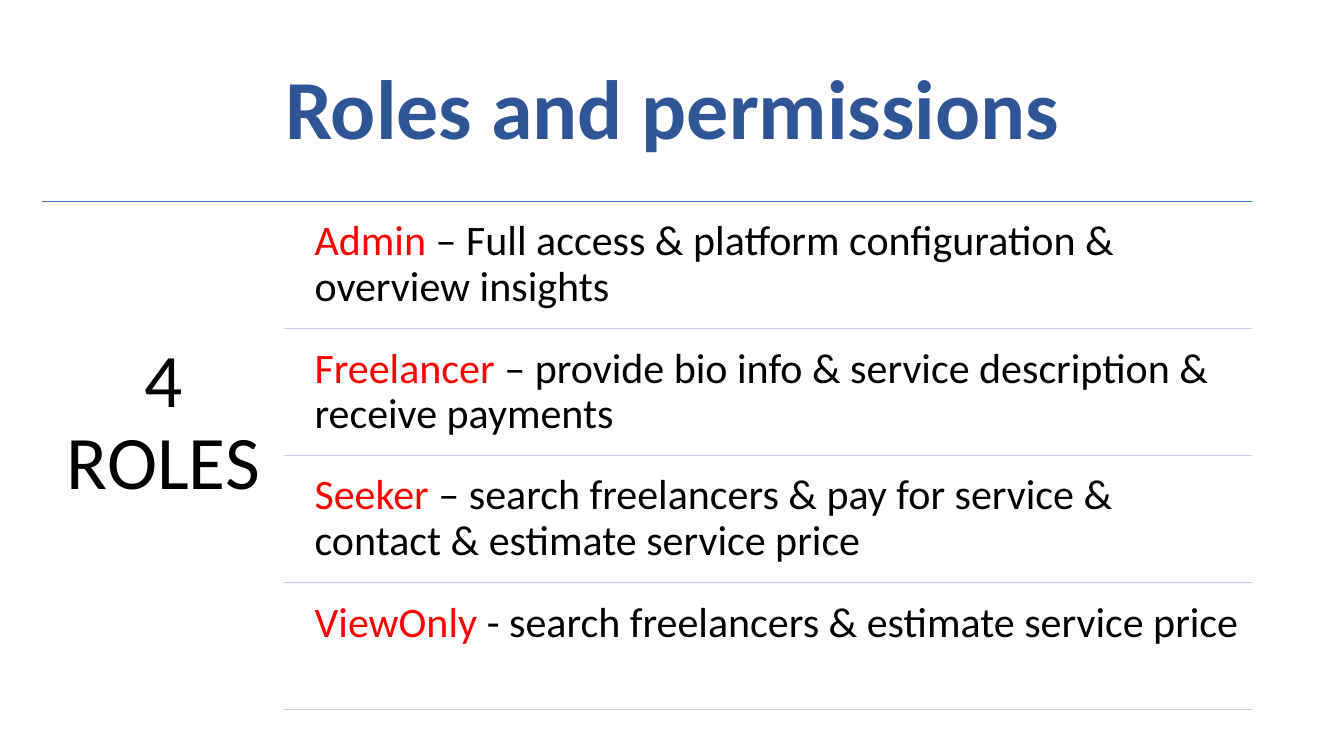
import pptx
import pptx.util
import pptx.dml.color
import pptx.enum.shapes
import pptx.enum.text
import pptx.oxml

HEADING = "Roles and permissions"
SUMMARY = "4 ROLES"
ROLES = [
    ("Admin", " – Full access & platform configuration & overview insights"),
    ("Freelancer", " – provide bio info & service description & receive payments"),
    ("Seeker", " – search freelancers & pay for service & contact & estimate service price"),
    ("ViewOnly", " - search freelancers & estimate service price"),
]

NAVY = pptx.dml.color.RGBColor(0x2F, 0x55, 0x97)
BLUE = pptx.dml.color.RGBColor(0x44, 0x72, 0xC4)
PALE_BLUE = pptx.dml.color.RGBColor(0xC1, 0xC9, 0xE4)
RED = pptx.dml.color.RGBColor(0xFF, 0, 0)
BLACK = pptx.dml.color.RGBColor(0, 0, 0)

LEFT, RIGHT, TOP = 0.42, 12.42, 2
SUMMARY_WIDTH = (RIGHT - LEFT) / 5
RULE_LEFT = LEFT + SUMMARY_WIDTH
ROLE_LEFT = RULE_LEFT + 0.18
ROLE_HEIGHT, GAP = 1.2, 0.06
ROW_PITCH = ROLE_HEIGHT + GAP

inch = pptx.util.Inches
deck = pptx.Presentation()
deck.slide_width, deck.slide_height = inch(13.33), inch(7.5)
slide = deck.slides.add_slide(deck.slide_layouts[5])


def style(run, size, color, bold=False):
    run.font.name = "Calibri"
    run.font.size = pptx.util.Pt(size)
    run.font.color.rgb = color
    run.font.bold = bold


def add_rule(left, y, color):
    rule = slide.shapes.add_connector(
        pptx.enum.shapes.MSO_CONNECTOR.STRAIGHT,
        inch(left), inch(y), inch(RIGHT), inch(y))
    rule.line.color.rgb = color
    rule.line.width = pptx.util.Pt(1)
    rule._element.spPr.append(pptx.oxml.parse_xml(
        '<a:effectLst xmlns:a="http://schemas.openxmlformats.org/drawingml/2006/main"/>'))


def add_text(left, top, width, height, inset, parts, size):
    frame = slide.shapes.add_textbox(
        inch(left), inch(top), inch(width), inch(height)).text_frame
    frame.word_wrap = True
    frame.margin_left = frame.margin_right = inch(inset)
    frame.margin_top = frame.margin_bottom = inch(inset)
    paragraph = frame.paragraphs[0]
    paragraph.line_spacing = 0.9
    for words, color in parts:
        run = paragraph.add_run()
        run.text = words
        style(run, size, color)
    return frame


title = slide.shapes.title
title.left, title.top = inch(0.92), inch(0.39)
title.width, title.height = inch(11.5), inch(1.45)
title.text_frame.text = HEADING
title.text_frame.vertical_anchor = pptx.enum.text.MSO_ANCHOR.MIDDLE
heading = title.text_frame.paragraphs[0]
heading.alignment = pptx.enum.text.PP_ALIGN.CENTER
heading.line_spacing = 0.9
style(heading.runs[0], 60, NAVY, True)

add_rule(LEFT, TOP, BLUE)
summary = add_text(LEFT, TOP, SUMMARY_WIDTH, 5.1, 0.23, [(SUMMARY, BLACK)], 54)
summary.margin_top = inch(1.4)
summary.paragraphs[0].alignment = pptx.enum.text.PP_ALIGN.CENTER

for row, (role, permissions) in enumerate(ROLES):
    row_top = TOP + row * ROW_PITCH
    add_text(ROLE_LEFT, row_top + GAP, RIGHT - ROLE_LEFT, ROLE_HEIGHT, 0.12,
             [(role, RED), (permissions, BLACK)], 30)
    add_rule(RULE_LEFT, row_top + ROW_PITCH, PALE_BLUE)

deck.save("out.pptx")
